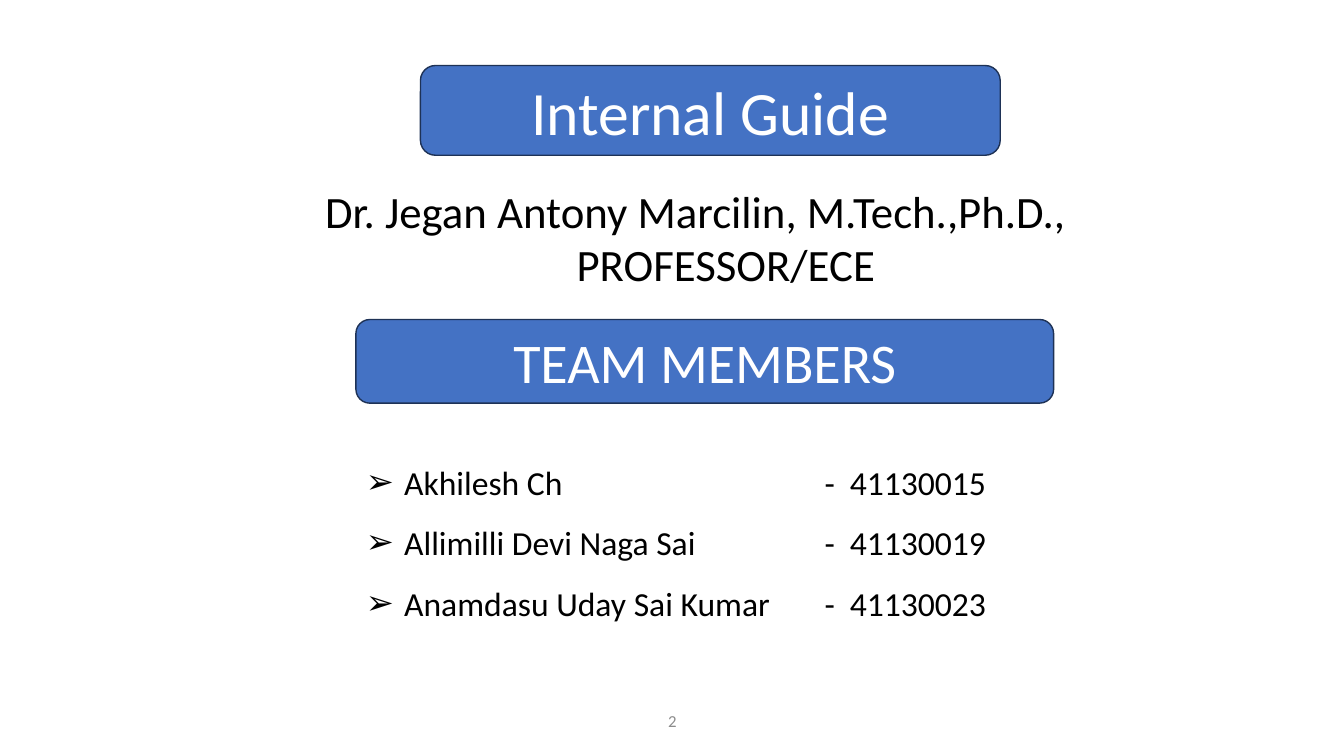
from dataclasses import dataclass

from lxml.etree import SubElement
from pptx import Presentation
from pptx.dml.color import RGBColor as Rgb
from pptx.enum.shapes import MSO_SHAPE as Preset
from pptx.enum.text import MSO_ANCHOR as Anchor, PP_ALIGN as Align
from pptx.oxml.ns import qn
from pptx.util import Inches, Pt


@dataclass(frozen=True)
class Theme:
    font: str = "Calibri"
    banner: Rgb = Rgb(0x44, 0x72, 0xC4)
    border: Rgb = Rgb(0x1E, 0x32, 0x56)
    white: Rgb = Rgb(0xFF, 0xFF, 0xFF)
    ink: Rgb = Rgb(0, 0, 0)
    muted: Rgb = Rgb(0x8C, 0x8C, 0x8C)
    guide_title: int = 44
    team_title: int = 40
    guide: int = 32
    member: int = 24
    number: int = 12


THEME = Theme()

GUIDE = ["Dr. Jegan Antony Marcilin, M.Tech.,Ph.D.,", "PROFESSOR/ECE"]
MEMBERS = [
    ("Akhilesh Ch", "41130015"),
    ("Allimilli Devi Naga Sai", "41130019"),
    ("Anamdasu Uday Sai Kumar", "41130023"),
]
BULLET_INDENT = 0.38
MEMBER_TABS = (4.55, 4.8)  # dash, register number
ROLE_INDENT = 0.6


def set_all(target, formats):
    for name, value in formats.items():
        setattr(target, name, value)


def style_text(paragraph, size, color, align=Align.CENTER):
    paragraph.alignment = align
    set_all(paragraph.font, {"name": THEME.font, "size": Pt(size)})
    paragraph.font.color.rgb = color


def add_banner(slide, box, title, size):
    banner = slide.shapes.add_shape(Preset.ROUNDED_RECTANGLE, *map(Inches, box))
    banner.shadow.inherit = False
    banner.fill.solid()
    banner.fill.fore_color.rgb = THEME.banner
    banner.line.color.rgb = THEME.border
    banner.line.width = Pt(1)
    frame = banner.text_frame
    set_all(frame, {"text": title, "vertical_anchor": Anchor.MIDDLE})
    style_text(frame.paragraphs[0], size, THEME.white)


def add_text(slide, box, lines, anchor=Anchor.TOP):
    frame = slide.shapes.add_textbox(*map(Inches, box)).text_frame
    set_all(frame, {"word_wrap": True, "vertical_anchor": anchor, "text": "\n".join(lines)})
    return frame.paragraphs


def add_bullet(paragraph):
    props = paragraph._p.get_or_add_pPr()
    props.set("marL", str(Inches(BULLET_INDENT)))
    props.set("indent", str(-Inches(BULLET_INDENT)))
    SubElement(props, qn("a:buFont"), typeface=THEME.font)
    SubElement(props, qn("a:buChar"), char="➢")
    tabs = SubElement(props, qn("a:tabLst"))
    for stop in MEMBER_TABS:
        SubElement(tabs, qn("a:tab"), pos=str(Inches(stop)), algn="l")


def add_members(slide, box):
    lines = [f"{name}\t-\t{register}" for name, register in MEMBERS]
    for member in add_text(slide, box, lines):
        member.line_spacing = 1.5
        add_bullet(member)
        style_text(member, THEME.member, THEME.ink, Align.LEFT)


def main():
    deck = Presentation()
    set_all(deck, {"slide_width": Inches(13.33), "slide_height": Inches(7.5)})
    slide = deck.slides.add_slide(deck.slide_layouts[6])

    # Guide
    add_banner(slide, (4.17, 0.65, 5.75, 0.89), "Internal Guide", THEME.guide_title)
    guide = add_text(slide, (2.88, 1.77, 8.04, 1.18), GUIDE)
    for line in guide:
        style_text(line, THEME.guide, THEME.ink)
    guide[1]._p.get_or_add_pPr().set("marL", str(Inches(ROLE_INDENT)))

    # Team
    add_banner(slide, (3.53, 3.17, 6.92, 0.83), "TEAM MEMBERS", THEME.team_title)
    add_members(slide, (3.53, 4.33, 6.92, 1.86))

    # Slide number
    number = add_text(slide, (4.42, 6.95, 4.5, 0.4), ["2"], Anchor.MIDDLE)
    style_text(number[0], THEME.number, THEME.muted)

    deck.save("out.pptx")


if __name__ == "__main__":
    main()
